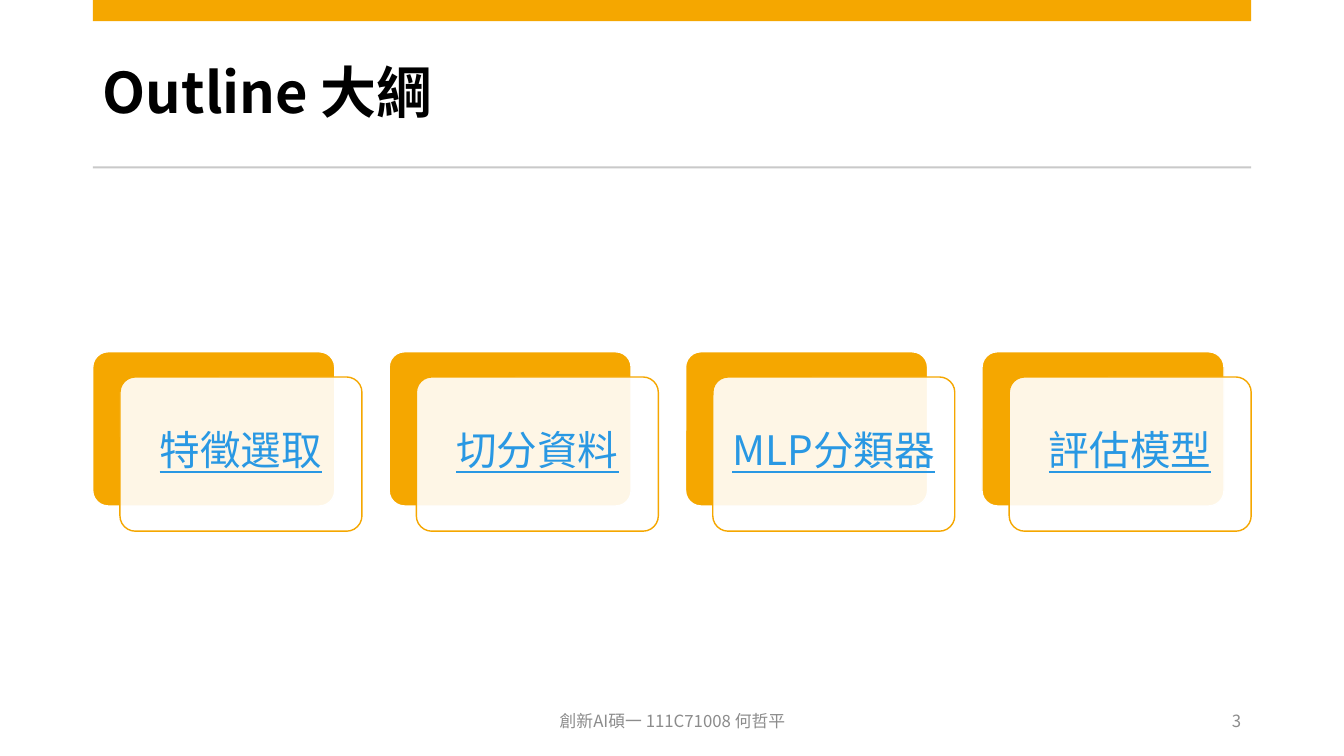
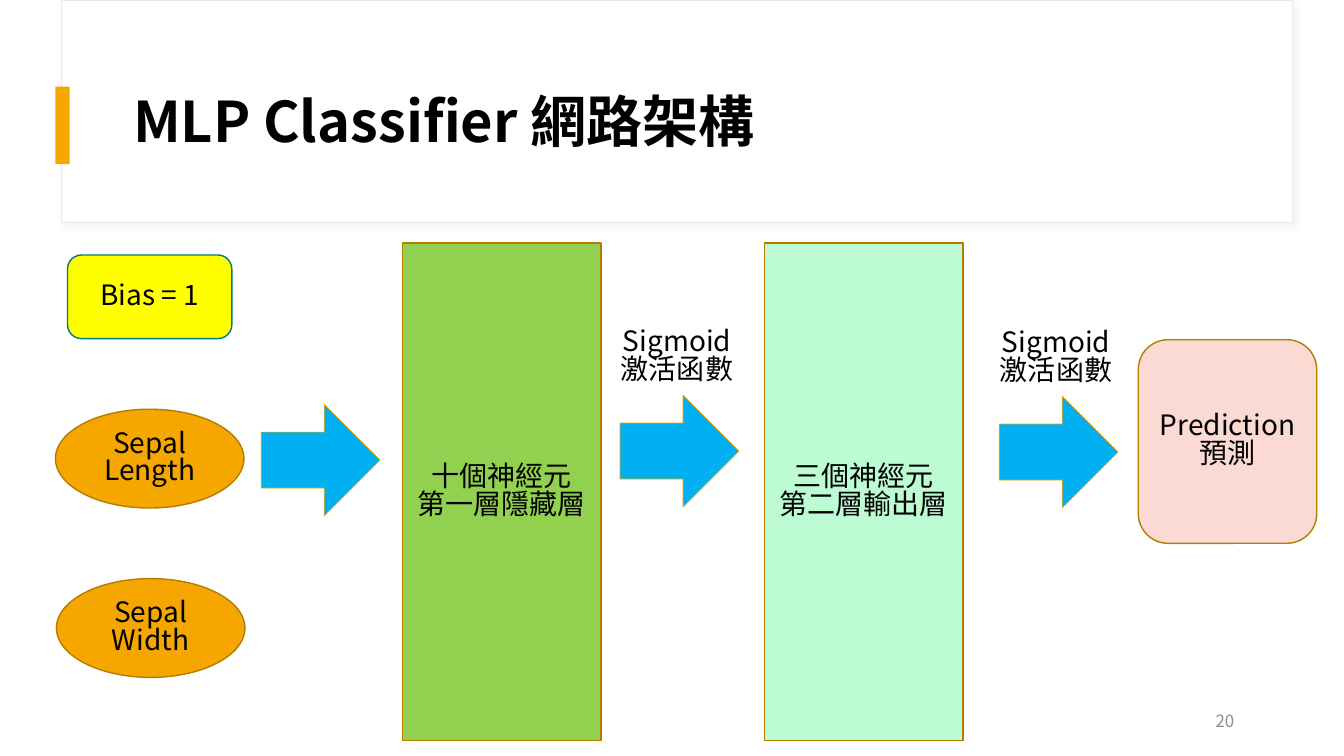
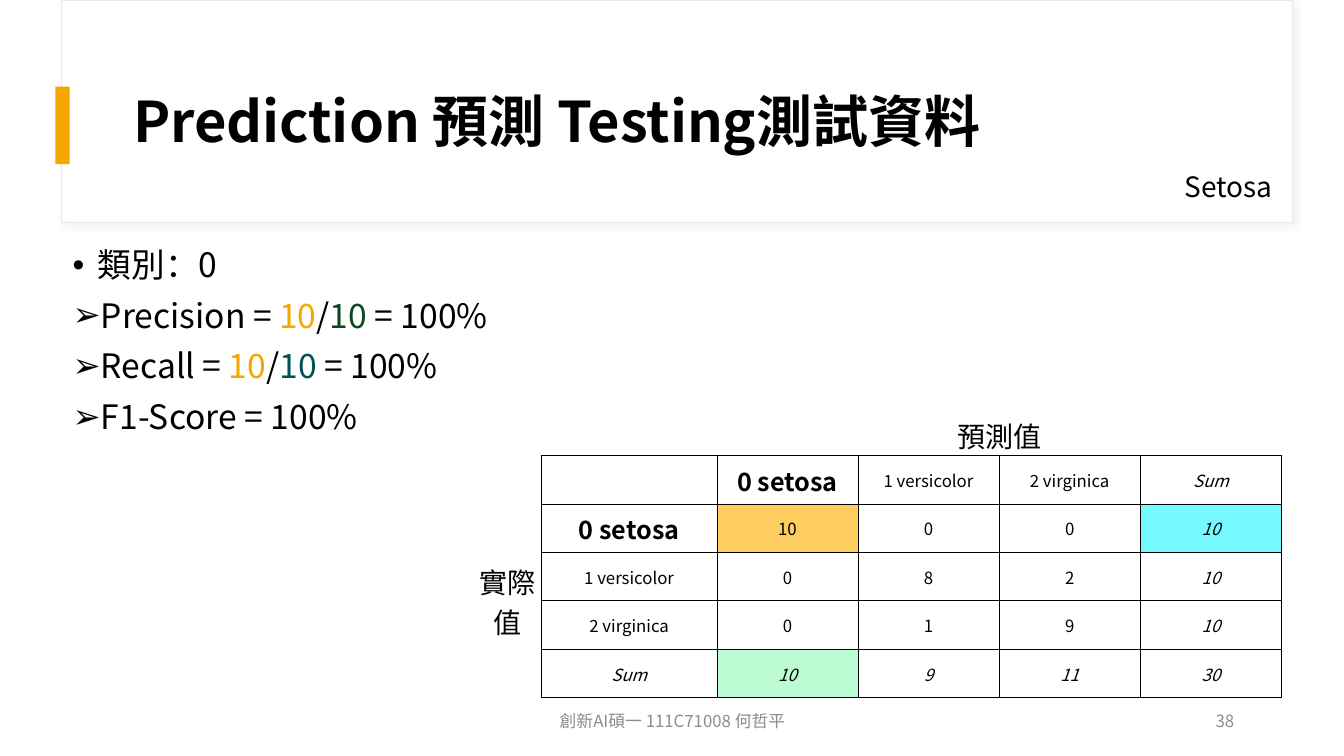
from lxml import etree
from pptx import Presentation
from pptx.dml.color import RGBColor
from pptx.enum.shapes import MSO_SHAPE
from pptx.enum.text import MSO_ANCHOR, MSO_AUTO_SIZE, PP_ALIGN
from pptx.oxml import parse_xml
from pptx.oxml.ns import nsdecls, qn
from pptx.util import Inches, Pt

RECT, ROUND = MSO_SHAPE.RECTANGLE, MSO_SHAPE.ROUNDED_RECTANGLE
OVAL, ARROW = MSO_SHAPE.OVAL, MSO_SHAPE.RIGHT_ARROW
LEFT, CENTER, RIGHT = PP_ALIGN.LEFT, PP_ALIGN.CENTER, PP_ALIGN.RIGHT
TOP, MIDDLE = MSO_ANCHOR.TOP, MSO_ANCHOR.MIDDLE
NO_FIT = MSO_AUTO_SIZE.NONE

WIDTH, HEIGHT = 13.33, 7.5
FONT = "Noto Sans CJK SC"
BLACK, WHITE, GRAY = "000000", "FFFFFF", "8C8C8C"
ORANGE, BROWN, BLUE, LINK = "F5A700", "B57C00", "00B0F0", "2998E3"
MINT, PINK = "BDFBD3", "FADAD3"
TIGHT = 0.83
NO_STYLE = "{2D5ABB26-0587-4C30-8999-92F81FD0307C}"

FOOTER = "創新AI碩一 111C71008 何哲平"
TOPICS = ["特徵選取", "切分資料", "MLP分類器", "評估模型"]

NETWORK = [
    (OVAL, (0.55, 4.06, 1.87, 0.98), ORANGE, BROWN, ["Sepal Length"]),
    (OVAL, (0.56, 5.74, 1.87, 0.98), ORANGE, BROWN, ["Sepal Width"]),
    (ROUND, (0.67, 2.53, 1.63, 0.83), "FFFF00", "007A7F", ["Bias = 1"]),
    (RECT, (3.99, 2.41, 1.97, 4.94), "92D050", BROWN, ["十個神經元", "第一層隱藏層"]),
    (RECT, (7.58, 2.41, 1.97, 4.94), MINT, BROWN, ["三個神經元", "第二層輸出層"]),
    (ROUND, (11.29, 3.37, 1.77, 2.02), PINK, BROWN, ["Prediction", "預測"]),
]
ARROWS = [(2.59, 4.01), (6.15, 3.92), (9.91, 3.93)]
ACTIVATION = ["Sigmoid", "激活函數"]
ACTIVATION_PLACES = [(5.9, 3.22), (9.66, 3.23)]

SCORES = [
    ("•", ["類別：0"]),
    ("➢", ["Precision = ", ("10", ORANGE), "/", ("10", "044B1E"), " = 100%"]),
    ("➢", ["Recall = ", ("10", ORANGE), "/", ("10", "005256"), " = 100%"]),
    ("➢", ["F1-Score = 100%"]),
]
CONFUSION = [
    ["", "", "預測值", "", "", ""],
    ["", "", "0 setosa", "1 versicolor", "2 virginica", "Sum"],
    ["實際值", "0 setosa", "10", "0", "0", "10"],
    ["", "1 versicolor", "0", "8", "2", "10"],
    ["", "2 virginica", "0", "1", "9", "10"],
    ["", "Sum", "10", "9", "11", "30"],
]
COLUMNS = [0.68, 1.74] + [1.4] * 4
ROWS = [0.39] + [0.48] * 5
CELL_FILLS = {(2, 2): "FFCC60", (2, 5): "77FAFF", (5, 2): MINT}


def color(value):
    return RGBColor.from_string(value)


def write(frame, lines, size=20, ink=BLACK, align=CENTER, anchor=MIDDLE, spacing=1.0,
          before=0, bold=False, italic=False, underline=False, inset=None):
    frame.word_wrap = True
    frame.vertical_anchor = anchor
    if inset is not None:
        frame.margin_left = frame.margin_right = Inches(inset)
        frame.margin_top = frame.margin_bottom = Inches(inset)
    for index, line in enumerate(lines):
        paragraph = frame.add_paragraph() if index else frame.paragraphs[0]
        paragraph.alignment = align
        paragraph.line_spacing = spacing
        paragraph.space_before = Pt(before)
        for part in [line] if isinstance(line, str) else line:
            text, tint = (part, ink) if isinstance(part, str) else part
            if not text:
                continue
            run = paragraph.add_run()
            run.text = text
            font = run.font
            font.name, font.size = FONT, Pt(size)
            font.bold, font.italic, font.underline = bold, italic, underline
            font.color.rgb = color(tint)
            properties = run._r.get_or_add_rPr()
            etree.SubElement(properties, qn("a:ea")).set("typeface", FONT)


def place(shape, box):
    shape.left, shape.top, shape.width, shape.height = map(Inches, box)


def draw(slide, kind, box, fill, line=None, weight=1):
    shape = slide.shapes.add_shape(kind, *map(Inches, box))
    shape.shadow.inherit = False
    shape.fill.solid()
    shape.fill.fore_color.rgb = color(fill)
    if line:
        shape.line.color.rgb = color(line)
        shape.line.width = Pt(weight)
    else:
        shape.line.fill.background()
    return shape


def label(slide, box, lines, **style):
    text_box = slide.shapes.add_textbox(*map(Inches, box))
    write(text_box.text_frame, lines, **style)


def add_title(slide, text, box):
    title = slide.shapes.title
    place(title, box)
    title.text_frame.auto_size = NO_FIT
    write(title.text_frame, [text], size=40, bold=True, align=LEFT, spacing=0.85)


def add_footer(slide):
    label(slide, (4.42, 6.95, 4.5, 0.4), [FOOTER], size=12, ink=GRAY)


def add_number(slide, number, right=12.34):
    label(slide, (right - 3, 6.95, 3, 0.4), [number], size=12, ink=GRAY, align=RIGHT)


def framed_slide(presentation, layout, title, number):
    slide = presentation.slides.add_slide(presentation.slide_layouts[layout])
    frame = draw(slide, RECT, (0.61, 0, 12.21, 2.21), WHITE, "E9E9E9", 0.75)
    effects = frame._element.spPr.find(qn("a:effectLst"))
    effects.append(parse_xml(
        f'<a:outerShdw {nsdecls("a")} blurRad="{Pt(4)}" dist="{Pt(3)}" dir="2700000">'
        '<a:srgbClr val="D9D9D9"><a:alpha val="30000"/></a:srgbClr></a:outerShdw>'))
    bar = draw(slide, RECT, (0.55, 0.86, 0.14, 0.77), ORANGE)
    tree = slide.shapes._spTree
    for position, shape in enumerate((frame, bar), 2):
        tree.remove(shape._element)
        tree.insert(position, shape._element)
    add_title(slide, title, (1.22, 0.6, 11.12, 1.29))
    add_number(slide, number)
    return slide


def outline_slide(presentation):
    slide = presentation.slides.add_slide(presentation.slide_layouts[5])
    left, width = 0.92, 11.49
    add_title(slide, "Outline 大綱", (left, 0.37, width, 1.18))
    draw(slide, RECT, (left, 0, width, 0.21), ORANGE)
    draw(slide, RECT, (left, 1.65, width, 0.02), "C9C9C9")
    add_footer(slide)
    add_number(slide, "3", left + width)
    card_width, card_height, shift = 2.4, 1.53, 0.27
    step = (width - card_width - shift) / (len(TOPICS) - 1)
    for index, topic in enumerate(TOPICS):
        x = left + index * step
        back = draw(slide, ROUND, (x, 3.49, card_width, card_height), ORANGE, WHITE)
        front = draw(slide, ROUND, (x + shift, 3.74, card_width, card_height), WHITE, ORANGE)
        for card in (back, front):
            card.adjustments[0] = 0.1
        tint = front._element.spPr.find(qn("a:solidFill"))[0]
        etree.SubElement(tint, qn("a:alpha")).set("val", "90000")
        write(front.text_frame, [topic], size=29, ink=LINK, underline=True,
              spacing=0.78, inset=0.12)


def network_slide(presentation):
    slide = framed_slide(presentation, 5, "MLP Classifier 網路架構", "20")
    for kind, box, fill, line, lines in NETWORK:
        shape = draw(slide, kind, box, fill, line)
        write(shape.text_frame, lines, spacing=TIGHT)
    for x, y in ARROWS:
        draw(slide, ARROW, (x, y, 1.18, 1.11), BLUE, ORANGE, 0.5)
    for x, y in ACTIVATION_PLACES:
        label(slide, (x, y, 1.63, 0.77), ACTIVATION, anchor=TOP, spacing=TIGHT)


def add_border(cell, sides):
    properties = cell._tc.get_or_add_tcPr()
    for position, side in enumerate(sides):
        properties.insert(position, parse_xml(
            f'<a:ln{side} {nsdecls("a")} w="{Pt(0.5)}"><a:solidFill>'
            f'<a:srgbClr val="{BLACK}"/></a:solidFill></a:ln{side}>'))


def cell_style(row, column, text):
    if text in ("預測值", "實際值"):
        return {"size": 20, "spacing": 0.9 if row == 0 else 1.0}
    if text == "0 setosa":
        return {"size": 18, "bold": True}
    return {"size": 12, "italic": row == 5 or column == 5}


def add_confusion_table(slide):
    box = (4.69, 4.13, sum(COLUMNS), sum(ROWS))
    table = slide.shapes.add_table(len(ROWS), len(COLUMNS), *map(Inches, box)).table
    table.first_row = table.horz_banding = False
    table._tbl.tblPr.find(qn("a:tableStyleId")).text = NO_STYLE
    for column, width in zip(table.columns, COLUMNS):
        column.width = Inches(width)
    for row, height in zip(table.rows, ROWS):
        row.height = Inches(height)
    table.cell(0, 2).merge(table.cell(0, 5))
    table.cell(2, 0).merge(table.cell(5, 0))
    for r, texts in enumerate(CONFUSION):
        for c, text in enumerate(texts):
            cell = table.cell(r, c)
            cell.vertical_anchor = MIDDLE
            cell.margin_left = cell.margin_right = cell.margin_top = Inches(0.01)
            cell.margin_bottom = 0
            if text:
                write(cell.text_frame, [text], **cell_style(r, c, text))
            if (r, c) in CELL_FILLS:
                cell.fill.solid()
                cell.fill.fore_color.rgb = color(CELL_FILLS[r, c])
            else:
                cell.fill.background()
            inside = r >= 1 and c >= 1
            drawn = {"L": inside, "R": r >= 1, "T": inside, "B": c >= 1}
            add_border(cell, [side for side, shown in drawn.items() if shown])


def prediction_slide(presentation):
    slide = framed_slide(presentation, 1, "Prediction 預測 Testing測試資料", "38")
    body = slide.placeholders[1]
    place(body, (0.62, 2.41, 11.12, 4.04))
    body.text_frame.auto_size = NO_FIT
    write(body.text_frame, [line for _, line in SCORES], size=24, align=LEFT,
          anchor=TOP, spacing=0.91, before=10)
    for paragraph, (bullet, _) in zip(body.text_frame.paragraphs, SCORES):
        properties = paragraph._p.get_or_add_pPr()
        properties.set("marL", str(Inches(0.25)))
        properties.set("indent", str(-Inches(0.25)))
        etree.SubElement(properties, qn("a:buChar")).set("char", bullet)
    label(slide, (10.76, 1.67, 1.96, 0.44), ["Setosa"], align=RIGHT, anchor=TOP,
          spacing=0.9)
    add_footer(slide)
    add_confusion_table(slide)


def main():
    presentation = Presentation()
    presentation.slide_width, presentation.slide_height = Inches(WIDTH), Inches(HEIGHT)
    outline_slide(presentation)
    network_slide(presentation)
    prediction_slide(presentation)
    presentation.save("out.pptx")


if __name__ == "__main__":
    main()
